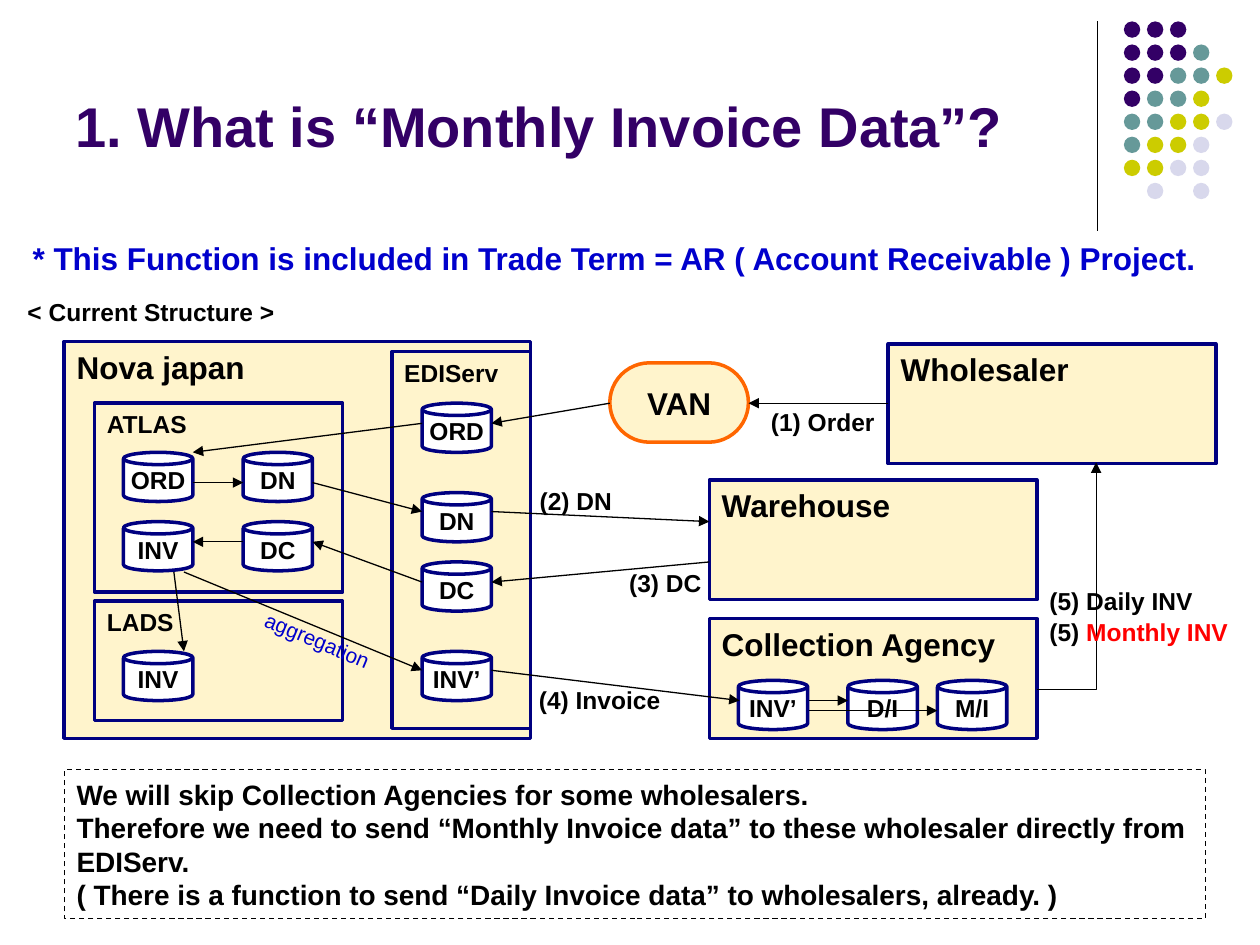
from lxml.etree import SubElement
from pptx import Presentation
from pptx.dml.color import RGBColor as Rgb
from pptx.enum.dml import MSO_LINE as Dash
from pptx.enum.shapes import MSO_CONNECTOR as Link, MSO_SHAPE as Form
from pptx.enum.text import MSO_ANCHOR as Anchor, MSO_AUTO_SIZE as Fit, PP_ALIGN as Align
from pptx.oxml.ns import qn
from pptx.util import Inches, Pt

HUES = {
    "ink": "000000", "paper": "FFFFFF", "navy": "000080", "blue": "0000CC",
    "sand": "FFCC00", "rust": "FF6600", "red": "FF0000",
    "plum": "330066", "teal": "669999", "lime": "CCCC00", "mist": "D8D8EC",
}


class Board:
    font = "Arial"
    cols, rows = 100, 75

    def __init__(self, deck):
        self.wide, self.high = deck.slide_width, deck.slide_height
        self.slide = deck.slides.add_slide(deck.slide_layouts[6])
        self.shapes = self.slide.shapes

    def spot(self, x, y):
        return round(x * self.wide / self.cols), round(y * self.high / self.rows)

    def hue(self, name):
        return Rgb.from_string(HUES[name])

    def style(self, run, size, hue, bold=True):
        run.font.name, run.font.size, run.font.bold = self.font, Pt(size), bold
        run.font.color.rgb = self.hue(hue)

    def words(self, shape, text, size, hue="ink", align=Align.LEFT,
              anchor=Anchor.TOP, wrap=True, bold=True):
        frame = shape.text_frame
        frame.text = text
        frame.word_wrap, frame.vertical_anchor = wrap, anchor
        for para in frame.paragraphs:
            para.alignment = align
            for run in para.runs:
                self.style(run, size, hue, bold)

    def shape(self, form, box, fill=None, line="navy", width=2, clear=None):
        item = self.shapes.add_shape(form, *self.spot(*box[:2]), *self.spot(*box[2:]))
        item.shadow.inherit = False
        if fill:
            item.fill.solid()
            item.fill.fore_color.rgb = self.hue(fill)
        else:
            item.fill.background()
        if clear:
            tint = item.element.spPr.find(qn("a:solidFill"))[0]
            SubElement(tint, qn("a:alpha"), val=str(clear * 1000))
        if line:
            item.line.color.rgb = self.hue(line)
            item.line.width = Pt(width)
        else:
            item.line.fill.background()
        return item

    def panel(self, box, text):
        item = self.shape(Form.RECTANGLE, box, "sand", clear=20)
        self.words(item, text, 18, wrap=False)

    def frame(self, box, text):
        self.words(self.shape(Form.RECTANGLE, box), text, 14, wrap=False)

    def pill(self, box, text):
        item = self.shape(Form.ROUNDED_RECTANGLE, box, "sand", "rust", clear=20)
        item.adjustments[0] = 0.5
        self.words(item, text, 18, align=Align.CENTER, anchor=Anchor.MIDDLE, wrap=False)

    def can(self, x, y, text):
        item = self.shape(Form.CAN, (x, y, 5.5, 3.9), "paper")
        item.adjustments[0] = 0.25
        self.words(item, text, 14, align=Align.CENTER, anchor=Anchor.MIDDLE, wrap=False)

    def title(self, box, text):
        item = self.shapes.add_textbox(*self.spot(*box[:2]), *self.spot(*box[2:]))
        self.words(item, text, 32, "plum", anchor=Anchor.MIDDLE)

    def label(self, box, text, size=14, hue="ink", align=Align.LEFT, bold=True, turn=0):
        item = self.shapes.add_textbox(*self.spot(*box[:2]), *self.spot(*box[2:]))
        self.words(item, text, size, hue, align, bold=bold)
        item.text_frame.auto_size = Fit.SHAPE_TO_FIT_TEXT
        item.text_frame.paragraphs[0].space_before = Pt(size * 0.625)
        item.rotation = turn
        return item

    def tip(self, item):
        SubElement(item.element.spPr.find(qn("a:ln")), qn("a:tailEnd"), type="triangle")

    def line(self, start, end, tip=True):
        item = self.shapes.add_connector(Link.STRAIGHT, *self.spot(*start), *self.spot(*end))
        item.line.color.rgb = self.hue("ink")
        item.line.width = Pt(0.75)
        SubElement(item.element.spPr, qn("a:effectLst"))
        if tip:
            self.tip(item)

    def bend(self, *dots):
        pen = self.shapes.build_freeform(*self.spot(*dots[0]))
        pen.add_line_segments([self.spot(*dot) for dot in dots[1:]], close=False)
        item = pen.convert_to_shape()
        item.shadow.inherit = False
        item.fill.background()
        item.line.color.rgb = self.hue("ink")
        item.line.width = Pt(0.75)
        self.tip(item)

    def dots(self, left, top, step, size, grid):
        keys = {"P": "plum", "T": "teal", "Y": "lime", "L": "mist"}
        for row, marks in enumerate(grid):
            for col, mark in enumerate(marks):
                if mark in keys:
                    box = (left + col * step, top + row * step, size, size)
                    self.shape(Form.OVAL, box, keys[mark], None)

    def note(self, box, text):
        item = self.shape(Form.RECTANGLE, box, "paper", "ink", 0.75)
        item.line.dash_style = Dash.DASH
        self.words(item, text, 16, anchor=Anchor.MIDDLE)


def main():
    deck = Presentation()
    deck.slide_width, deck.slide_height = Inches(10), Inches(7.5)
    board = Board(deck)

    board.line((87.1, 1.7), (87.1, 18.3), tip=False)
    board.dots(89.2, 1.7, 1.83, 1.3,
               ["PPP", "PPPT", "PPTTY", "PTTY", "TTYYL", "TYYL", "YYLL", ".L.L"])
    board.title((5, 4.4, 82.5, 11.1), "1. What is “Monthly Invoice Data”?")
    board.label((1.6, 18.5, 96.5, 4),
                "* This Function is included in Trade Term = AR ( Account Receivable ) Project.",
                18, "blue")
    board.label((1.2, 23.1, 28.4, 3.4), "< Current Structure >")

    for box, text in [
        ((5.1, 27.1, 37, 31.5), "Nova japan"),
        ((56.3, 38.1, 26, 9.5), "Warehouse"),
        ((56.3, 49.1, 26, 9.5), "Collection Agency"),
        ((70.5, 27.3, 26, 9.5), "Wholesaler"),
    ]:
        board.panel(box, text)
    board.pill((48.4, 28.8, 11, 6.3), "VAN")

    for box, text in [
        ((31.1, 27.9, 11, 29.9), "EDIServ"),
        ((7.5, 32, 19.7, 15), "ATLAS"),
        ((7.5, 47.7, 19.7, 9.5), "LADS"),
    ]:
        board.frame(box, text)

    for x, stack in [
        (9.8, [(35.9, "ORD"), (41.4, "INV"), (51.7, "INV")]),
        (19.3, [(35.9, "DN"), (41.4, "DC")]),
        (33.5, [(32, "ORD"), (39.1, "DN"), (44.6, "DC"), (51.7, "INV’")]),
        (58.6, [(54, "INV’")]),
        (67.3, [(54, "D/I")]),
        (74.4, [(54, "M/I")]),
    ]:
        for y, text in stack:
            board.can(x, y, text)

    for start, end in [
        ((70.5, 32), (59.4, 32)),
        ((48.4, 32), (39, 33.6)),
        ((33.5, 33.6), (15.3, 35.9)),
        ((15.3, 38.3), (19.3, 38.3)),
        ((24.8, 38.3), (33.5, 40.6)),
        ((39, 40.6), (56.3, 41.4)),
        ((56.3, 44.6), (39, 46.2)),
        ((33.5, 46.2), (24.8, 43)),
        ((19.3, 43), (15.3, 43)),
        ((13.8, 45.4), (14.6, 51.7)),
        ((14.6, 45.4), (33.5, 53.2)),
        ((39, 53.2), (58.7, 55.6)),
        ((64.2, 55.6), (67.3, 55.6)),
        ((64.2, 56.4), (74.4, 56.4)),
    ]:
        board.line(start, end)
    board.bend((82.3, 54.7), (87, 54.7), (87, 36.7))

    for x, y, wide, text in [
        (60.2, 31.8, 10.2, "(1) Order"),
        (40.6, 38.1, 10.2, "(2) DN"),
        (47.7, 44.6, 10.2, "(3) DC"),
        (41.3, 53.9, 12.6, "(4) Invoice"),
    ]:
        board.label((x, y, wide, 3.4), text, align=Align.CENTER)
    board.label((82.3, 46, 16.5, 3.4), "(5) Daily INV")
    month = board.label((82.3, 48.5, 16.5, 3.4), "(5)")
    run = month.text_frame.paragraphs[0].add_run()
    run.text = " Monthly INV"
    board.style(run, 14, "red")
    board.label((19.3, 49.3, 11.8, 3), "aggregation", 12, "blue", Align.CENTER, False, 22.8)

    board.note((5.1, 61.1, 90.6, 11.8), "\n".join([
        "We will skip Collection Agencies for some wholesalers.",
        "Therefore we need to send “Monthly Invoice data” to these wholesaler directly from EDIServ.",
        "( There is a function to send “Daily Invoice data” to wholesalers, already. )",
    ]))
    deck.save("out.pptx")


if __name__ == "__main__":
    main()
